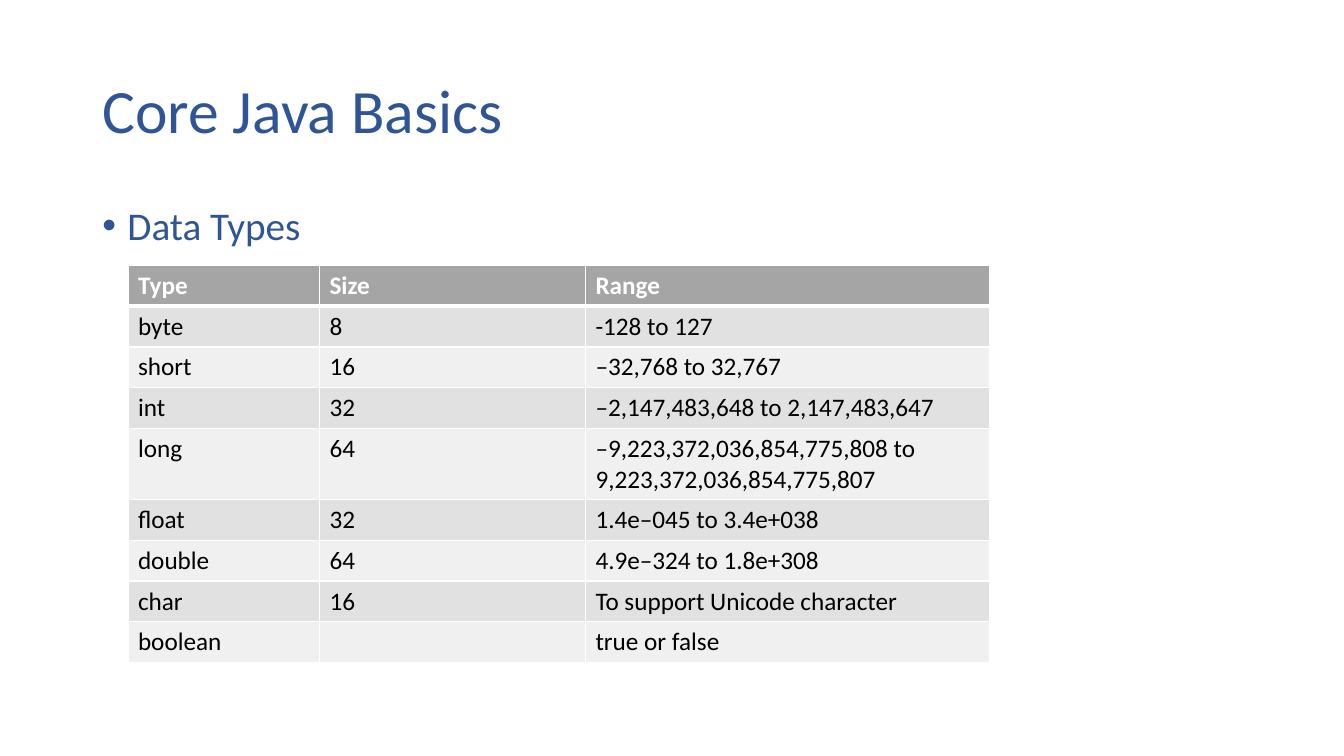
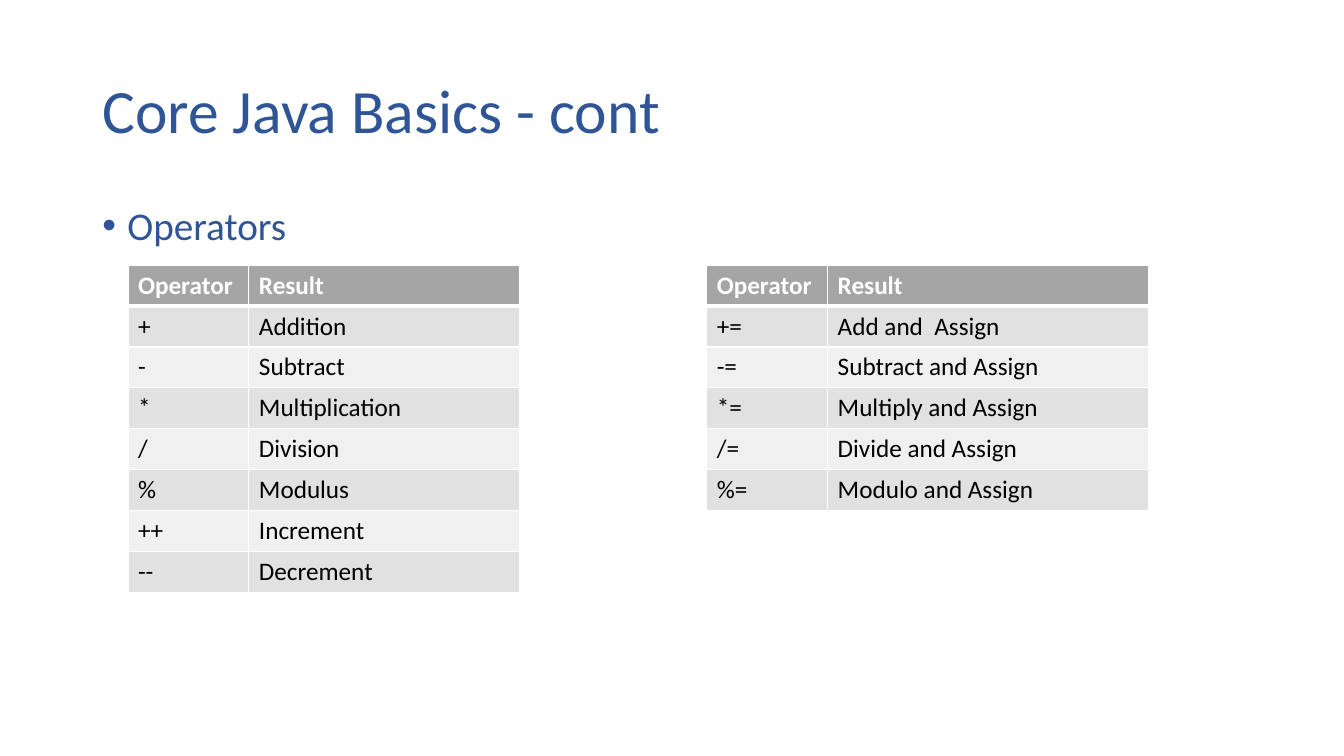
from lxml import etree
from pptx import Presentation
from pptx.dml.color import RGBColor
from pptx.enum.text import MSO_ANCHOR
from pptx.oxml.ns import qn
from pptx.util import Pt

MIDDLE = MSO_ANCHOR.MIDDLE
TITLE_ONLY = 5

BLUE = RGBColor(0x2F, 0x55, 0x97)
WHITE = RGBColor(0xFF, 0xFF, 0xFF)
BLACK = RGBColor(0, 0, 0)
HEADER_GRAY = RGBColor(0xA5, 0xA5, 0xA5)
BANDS = (RGBColor(0xE1, 0xE1, 0xE1), RGBColor(0xF0, 0xF0, 0xF0))

FONT = "Calibri"
MARGIN, CONTENT_WIDTH = 66, 828
TABLE_LEFT, TABLE_TOP, ROW_HEIGHT = 91.4, 189.4, 29.2
OPERATOR_WIDTH = 86.4
THIN, THICK = 1, 3


class SlideBuilder:
    """Holds the shared style and the slide being built."""

    def __init__(self):
        self.deck = Presentation()
        self.deck.slide_width, self.deck.slide_height = Pt(960), Pt(540)
        self.page = None

    def format_text(self, paragraph, size, color, bold=False):
        for span in paragraph.runs:
            span.font.name = FONT
            span.font.size = Pt(size)
            span.font.color.rgb = color
            span.font.bold = bold

    def add_page(self, title):
        layout = self.deck.slide_layouts[TITLE_ONLY]
        self.page = self.deck.slides.add_slide(layout)
        box = self.page.shapes.title
        box.left, box.top = Pt(MARGIN), Pt(28.8)
        box.width, box.height = Pt(CONTENT_WIDTH), Pt(104.4)
        frame = box.text_frame
        frame.text = title
        frame.vertical_anchor = MIDDLE
        para = frame.paragraphs[0]
        para.alignment = 1  # left
        para.line_spacing = 0.9
        self.format_text(para, 44, BLUE)

    def add_bullet(self, text):
        box = self.page.shapes.add_textbox(
            Pt(MARGIN), Pt(143.8), Pt(CONTENT_WIDTH), Pt(342.6))
        frame = box.text_frame
        frame.word_wrap = True
        frame.text = text
        para = frame.paragraphs[0]
        para.line_spacing = 0.9
        para.space_before = Pt(10)
        self.format_text(para, 28, BLUE)
        properties = para._p.get_or_add_pPr()
        properties.set("marL", str(Pt(18)))
        properties.set("indent", str(-Pt(18)))
        etree.SubElement(properties, qn("a:buFont"), typeface="Arial")
        etree.SubElement(properties, qn("a:buChar"), char="•")

    def add_borders(self, cell, top, bottom):
        properties = cell._tc.get_or_add_tcPr()
        sides = {"lnL": THIN, "lnR": THIN, "lnT": top, "lnB": bottom}
        for side, width in sides.items():
            line = etree.SubElement(properties, qn("a:" + side), w=str(Pt(width)))
            fill = etree.SubElement(line, qn("a:solidFill"))
            etree.SubElement(fill, qn("a:srgbClr"), val=str(WHITE))

    def add_table(self, left, widths, rows):
        table = self.page.shapes.add_table(
            len(rows), len(widths), Pt(left), Pt(TABLE_TOP),
            Pt(sum(widths)), Pt(ROW_HEIGHT * len(rows))).table
        table.horz_banding = False
        for column, width in zip(table.columns, widths):
            column.width = Pt(width)
        for r, values in enumerate(rows):
            header = r == 0
            table.rows[r].height = Pt(ROW_HEIGHT)
            for c, value in enumerate(values):
                cell = table.cell(r, c)
                self.add_borders(cell, THICK if r == 1 else THIN,
                                 THICK if header else THIN)
                cell.fill.solid()
                cell.fill.fore_color.rgb = HEADER_GRAY if header else BANDS[(r - 1) % 2]
                if value:
                    cell.text_frame.text = value
                    self.format_text(cell.text_frame.paragraphs[0], 18,
                                     WHITE if header else BLACK, header)


builder = SlideBuilder()

# Data types
builder.add_page("Core Java Basics")
builder.add_bullet("Data Types")
builder.add_table(TABLE_LEFT, (136.8, 190, 288.4), [
    ("Type", "Size", "Range"),
    ("byte", "8", "-128 to 127"),
    ("short", "16", "–32,768 to 32,767"),
    ("int", "32", "–2,147,483,648 to 2,147,483,647"),
    ("long", "64", "–9,223,372,036,854,775,808 to 9,223,372,036,854,775,807"),
    ("float", "32", "1.4e–045 to 3.4e+038"),
    ("double", "64", "4.9e–324 to 1.8e+308"),
    ("char", "16", "To support Unicode character"),
    ("boolean", "", "true or false"),
])

# Operators: arithmetic on the left, assignment on the right
OPERATOR_HEADER = ("Operator", "Result")
builder.add_page("Core Java Basics - cont")
builder.add_bullet("Operators")
builder.add_table(TABLE_LEFT, (OPERATOR_WIDTH, 193.6), [
    OPERATOR_HEADER,
    ("+", "Addition"),
    ("-", "Subtract"),
    ("*", "Multiplication"),
    ("/", "Division"),
    ("%", "Modulus"),
    ("++", "Increment"),
    ("--", "Decrement"),
])
builder.add_table(504.8, (OPERATOR_WIDTH, 229), [
    OPERATOR_HEADER,
    ("+=", "Add and  Assign"),
    ("-=", "Subtract and Assign"),
    ("*=", "Multiply and Assign"),
    ("/=", "Divide and Assign"),
    ("%=", "Modulo and Assign"),
])

builder.deck.save("out.pptx")
